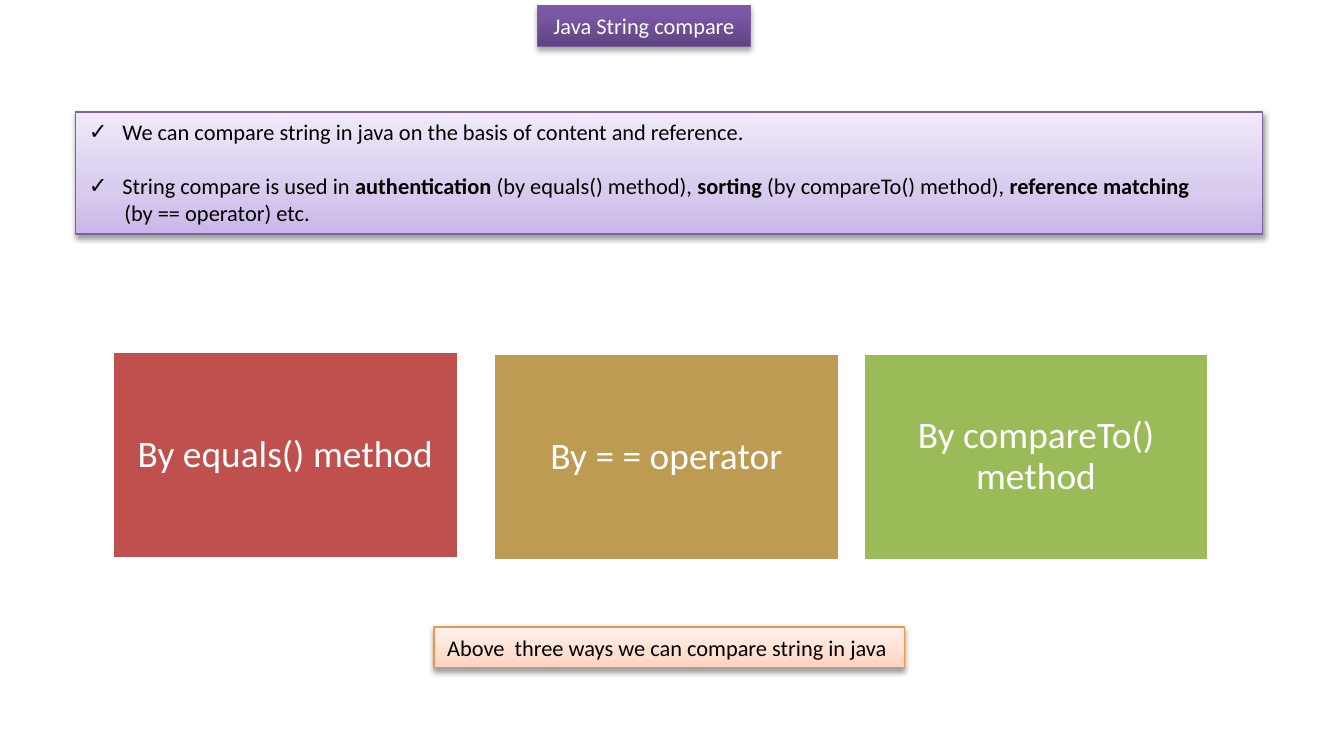
import pptx
import pptx.util
import pptx.oxml
import pptx.oxml.ns
from pptx.dml.color import RGBColor
from pptx.enum.shapes import MSO_SHAPE
from pptx.enum.text import MSO_ANCHOR, MSO_AUTO_SIZE, PP_ALIGN

Pt = pptx.util.Pt
qn = pptx.oxml.ns.qn
NS = pptx.oxml.ns.nsdecls("a")

WHITE = RGBColor(0xFF, 0xFF, 0xFF)
BLACK = RGBColor(0, 0, 0)
PURPLE = RGBColor(0x7D, 0x60, 0xA0)
ORANGE = RGBColor(0xF6, 0x92, 0x40)
RED = RGBColor(0xC0, 0x50, 0x4D)
OCHRE = RGBColor(0xBD, 0x9B, 0x53)
GREEN = RGBColor(0x9B, 0xBB, 0x59)
TITLE_STOPS = [(0, RGBColor(0x5F, 0x44, 0x80)), (80, RGBColor(0x7B, 0x58, 0xA6)),
               (100, RGBColor(0x7C, 0x57, 0xA8))]
LILAC_STOPS = [(0, RGBColor(0xC9, 0xB5, 0xE8)), (35, RGBColor(0xD8, 0xCB, 0xEE)),
               (100, RGBColor(0xF0, 0xEA, 0xF9))]
PEACH_STOPS = [(0, RGBColor(0xFF, 0xD2, 0xBD)), (35, RGBColor(0xFF, 0xDE, 0xD0)),
               (100, RGBColor(0xFF, 0xF2, 0xED))]


def style_panel(panel, stops, outline, shadow_alpha, shadow_distance):
    """Give a panel a bottom-to-top gradient, an outline, a soft shadow and text insets."""
    panel.fill.gradient()
    properties = panel._element.spPr
    stop_xml = "".join(f'<a:gs pos="{position * 1000}"><a:srgbClr val="{color}"/></a:gs>'
                       for position, color in stops)
    gradient = pptx.oxml.parse_xml(
        f'<a:gradFill {NS} rotWithShape="1"><a:gsLst>{stop_xml}</a:gsLst>'
        '<a:lin ang="16200000" scaled="0"/></a:gradFill>')
    properties.replace(properties.find(qn("a:gradFill")), gradient)
    panel.line.color.rgb = outline
    panel.line.width = Pt(0.75)
    panel.shadow.inherit = False
    properties.find(qn("a:effectLst")).append(pptx.oxml.parse_xml(
        f'<a:outerShdw {NS} blurRad="{Pt(3.1)}" dist="{Pt(shadow_distance)}" dir="5400000" '
        f'rotWithShape="0"><a:srgbClr val="000000"><a:alpha val="{shadow_alpha * 1000}"/>'
        '</a:srgbClr></a:outerShdw>'))
    frame = panel.text_frame
    frame.word_wrap = True
    frame.auto_size = MSO_AUTO_SIZE.NONE
    frame.vertical_anchor = MSO_ANCHOR.TOP
    frame.margin_left = frame.margin_right = Pt(7.2)
    frame.margin_top = frame.margin_bottom = Pt(3.6)


def format_paragraph(paragraph, size, color, alignment):
    paragraph.alignment = alignment
    paragraph.font.name = "Calibri"
    paragraph.font.size = Pt(size)
    paragraph.font.color.rgb = color


deck = pptx.Presentation()
deck.slide_width, deck.slide_height = Pt(720), Pt(396)
slide = deck.slides.add_slide(deck.slide_layouts[5])
shapes = slide.shapes

title = shapes.title
title.left, title.top, title.width, title.height = Pt(288), Pt(3), Pt(114), Pt(21.8)
title.text_frame.text = "Java String compare"
style_panel(title, TITLE_STOPS, PURPLE, 35, 1.8)
format_paragraph(title.text_frame.paragraphs[0], 12, WHITE, PP_ALIGN.CENTER)

# Three ways to compare
ways = [
    ("By equals() method", 60, 188.4, RED),
    ("By = = operator", 264.2, 189.2, OCHRE),
    ("By compareTo() method", 462.2, 189.2, GREEN),
]
for label, left, top, color in ways:
    way = shapes.add_shape(MSO_SHAPE.RECTANGLE, Pt(left), Pt(top), Pt(185.7), Pt(111.4))
    way.shadow.inherit = False
    way.fill.solid()
    way.fill.fore_color.rgb = color
    way.line.color.rgb = WHITE
    way.line.width = Pt(2)
    frame = way.text_frame
    frame.word_wrap = True
    frame.vertical_anchor = MSO_ANCHOR.MIDDLE
    frame.margin_left = frame.margin_right = frame.margin_top = frame.margin_bottom = Pt(6)
    frame.text = label
    frame.paragraphs[0].line_spacing = 0.9
    format_paragraph(frame.paragraphs[0], 20, WHITE, PP_ALIGN.CENTER)

# Where comparison is used: (ticked, indent, space before, [(text, bold), ...])
usage = shapes.add_shape(MSO_SHAPE.RECTANGLE, Pt(40.5), Pt(60), Pt(636), Pt(65.5))
style_panel(usage, LILAC_STOPS, PURPLE, 38, 1.6)
usage_lines = [
    (True, 18, 0,
     [("We can compare string in java on the basis of content and reference.", False)]),
    (True, 18, 14.4,
     [("String compare is used in ", False), ("authentication", True),
      (" (by equals() method), ", False), ("sorting", True),
      (" (by compareTo() method), ", False), ("reference matching", True)]),
    (False, 19, 0, [("(by == operator) etc.", False)]),
]
for index, (ticked, indent, space_before, parts) in enumerate(usage_lines):
    frame = usage.text_frame
    paragraph = frame.add_paragraph() if index else frame.paragraphs[0]
    properties = paragraph._p.get_or_add_pPr()
    properties.set("marL", str(Pt(indent)))
    if ticked:
        properties.set("indent", str(-Pt(indent)))
        properties.append(pptx.oxml.parse_xml(f'<a:buFont {NS} typeface="Calibri"/>'))
        properties.append(pptx.oxml.parse_xml(f'<a:buChar {NS} char="✓"/>'))
    paragraph.space_before = Pt(space_before)
    format_paragraph(paragraph, 12, BLACK, PP_ALIGN.LEFT)
    for text, bold in parts:
        run = paragraph.add_run()
        run.text = text
        run.font.bold = bold

summary = shapes.add_shape(MSO_SHAPE.RECTANGLE, Pt(232.5), Pt(336), Pt(252), Pt(21.8))
style_panel(summary, PEACH_STOPS, ORANGE, 38, 1.6)
summary.text_frame.text = "Above  three ways we can compare string in java"
format_paragraph(summary.text_frame.paragraphs[0], 12, BLACK, PP_ALIGN.LEFT)

deck.save("out.pptx")
